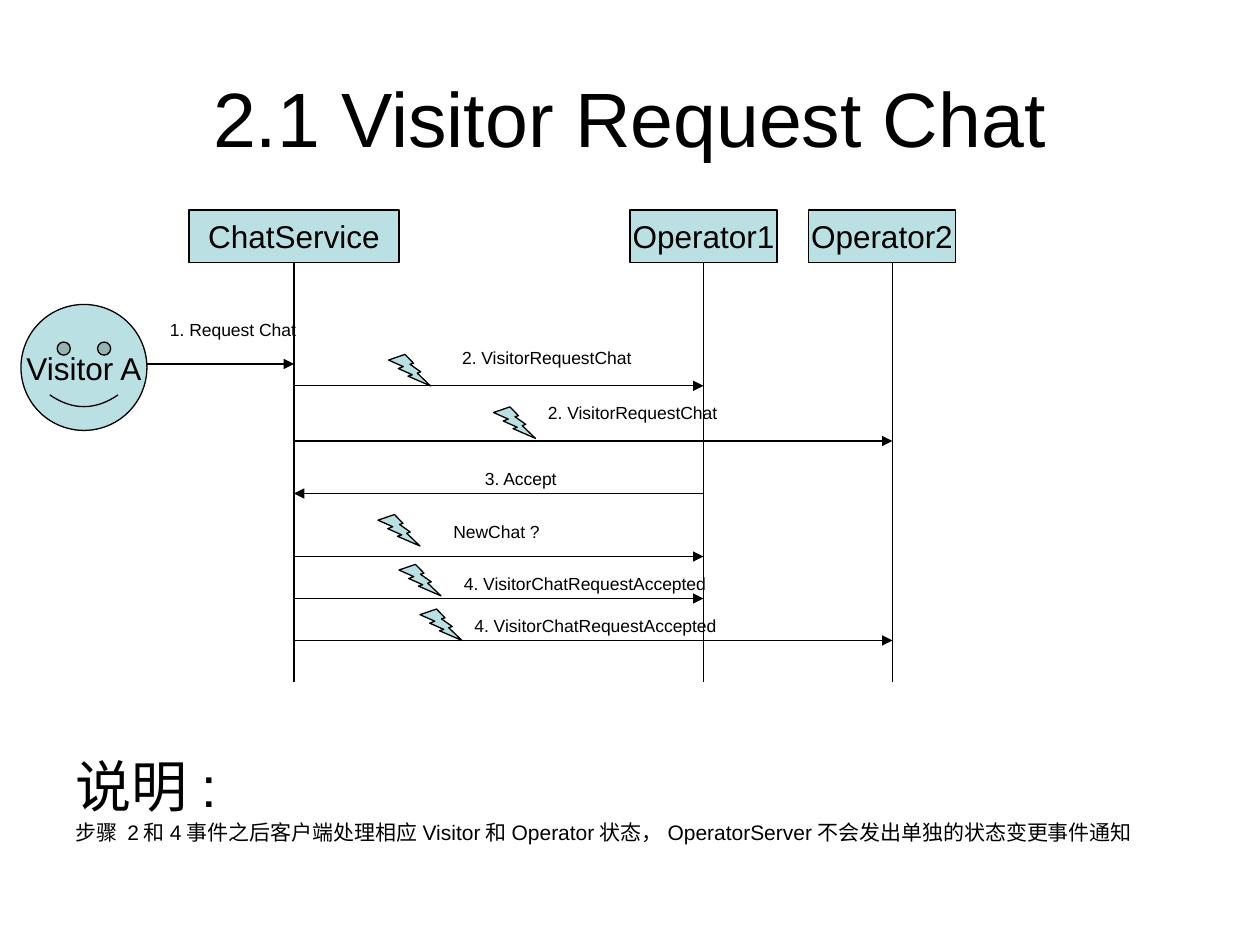
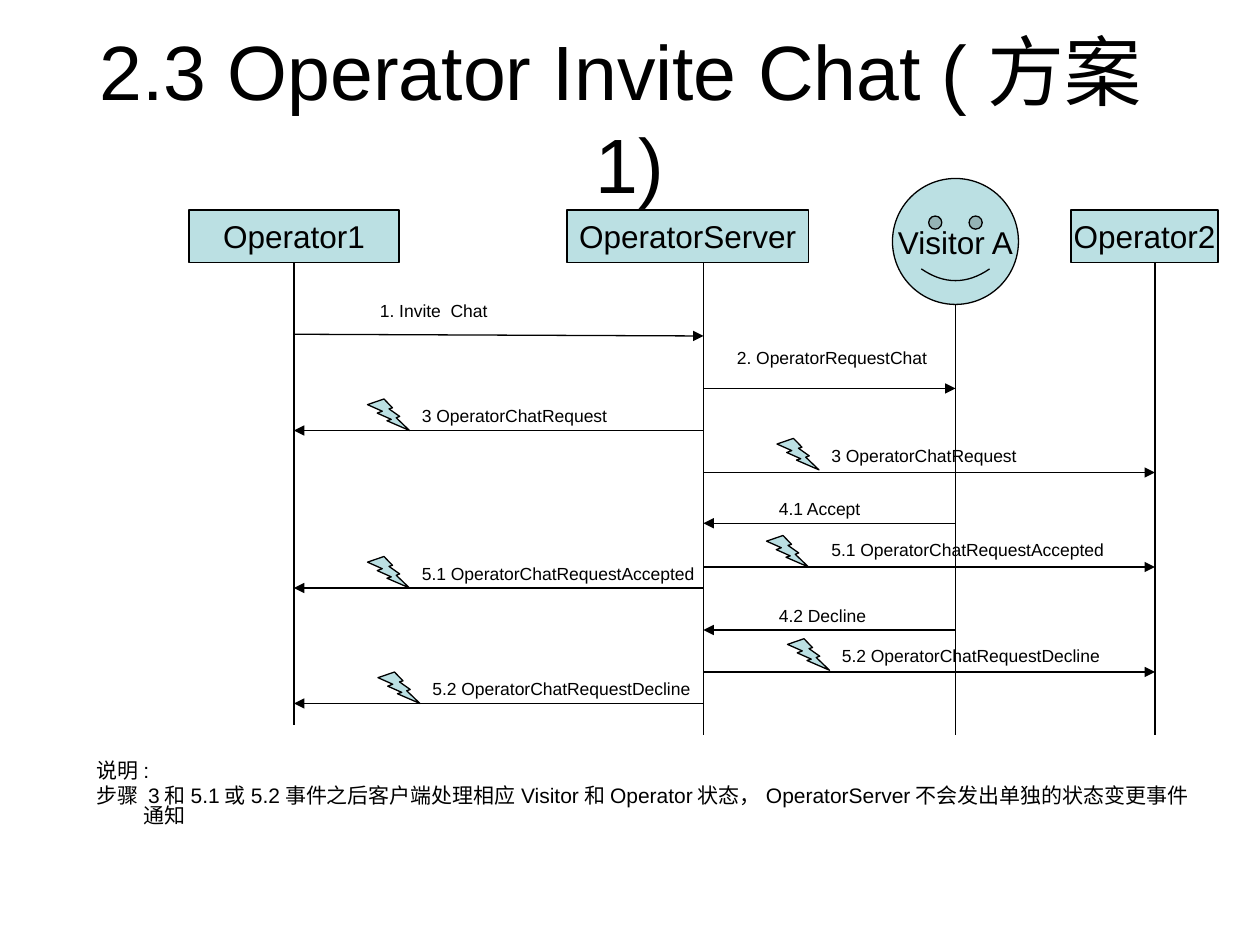
from lxml.etree import SubElement
from pptx import Presentation
from pptx.dml.color import RGBColor
from pptx.enum.shapes import MSO_CONNECTOR, MSO_SHAPE
from pptx.enum.text import MSO_ANCHOR, MSO_AUTO_SIZE, PP_ALIGN
from pptx.oxml.ns import qn
from pptx.util import Pt

COLOURS = {"ink": "000000", "fill": "BBE0E3"}
FONT = "Arial"
LINE_WIDTH = Pt(0.75)
HEAD_TOP, HEAD_HEIGHT = 120, 30
HEAD_BOTTOM = HEAD_TOP + HEAD_HEIGHT
FACE_SIZE = 72
BOLT_WIDTH, BOLT_HEIGHT = 24, 18
LABEL_HEIGHT = 19.5
ink = RGBColor.from_string(COLOURS["ink"])
aqua = RGBColor.from_string(COLOURS["fill"])

TITLE = {"alignment": PP_ALIGN.CENTER}
HEADING = {"space_before": Pt(8), "line_spacing": 1.0}
NOTE = {"space_before": Pt(3), "line_spacing": 0.8}


def write(box, lines, hanging=False):
    """Fill a box with (text, size, paragraph format) lines."""
    frame = box.text_frame
    for index, (text, size, formats) in enumerate(lines):
        para = frame.add_paragraph() if index else frame.paragraphs[0]
        for name, value in formats.items():
            setattr(para, name, value)
        if hanging:
            properties = para._p.get_or_add_pPr()
            properties.set("marL", str(Pt(27)))
            properties.set("indent", str(-Pt(27)))
            SubElement(properties, qn("a:buNone"))
        span = para.add_run()
        span.text = text
        span.font.name = FONT
        span.font.size = Pt(size)
        span.font.color.rgb = ink


def draw_line(page, start, end, arrow=False):
    """Draw a thin line between two points, with an arrowhead on request."""
    line = page.shapes.add_connector(
        MSO_CONNECTOR.STRAIGHT, *[Pt(value) for value in start + end])
    line.line.color.rgb = ink
    line.line.width = LINE_WIDTH
    if arrow:
        SubElement(line.line._get_or_add_ln(), qn("a:tailEnd"), type="triangle")
    SubElement(line._element.spPr, qn("a:effectLst"))


PROCESS, RECTANGLE = MSO_SHAPE.FLOWCHART_PROCESS, MSO_SHAPE.RECTANGLE

# Heads: text, shape, left, width, lifeline x, lifeline bottom
# Messages: start, end, text, label (left, top, width), bolt (left, top)
PAGES = [
    {
        "title": "2.1 Visitor Request Chat",
        "heads": [
            ("ChatService", PROCESS, 108, 120, 168, 390),
            ("Operator1", RECTANGLE, 360, 84, 402, 390),
            ("Operator2", RECTANGLE, 462, 84, 510, 390),
        ],
        "visitor": (12, 174),
        "visitor_line_bottom": None,
        "messages": [
            ((84, 208), (168, 208), "1. Request Chat", (90, 178.5, 90), None),
            ((168, 220.5), (402, 220.5), "2. VisitorRequestChat",
             (257, 195, 133), (222, 202.5)),
            ((168, 252), (510, 252), "2. VisitorRequestChat",
             (306, 226, 132), (282, 232.5)),
            ((402, 282), (168, 282), "3. Accept", (270, 264, 66), None),
            ((168, 318), (402, 318), "NewChat ?", (252, 294, 110), (216, 294)),
            ((168, 342), (402, 342), "4. VisitorChatRequestAccepted",
             (258, 324, 174), (228, 322.5)),
            ((168, 366), (510, 366), "4. VisitorChatRequestAccepted",
             (264, 348, 168), (240, 348)),
        ],
        "notes_in_body": True,
        "notes_at": (36, 426),
        "notes": [
            ("说明:", 32, HEADING),
            ("步骤 2和4事件之后客户端处理相应Visitor和Operator状态，"
             "OperatorServer不会发出单独的状态变更事件通知", 12, NOTE),
        ],
    },
    {
        "title": "2.3 Operator Invite Chat (方案1)",
        "heads": [
            ("Operator1", PROCESS, 108, 120, 168, 414),
            ("OperatorServer", RECTANGLE, 324, 138, 402, 420),
            ("Operator2", RECTANGLE, 612, 84, 660, 420),
        ],
        "visitor": (510, 102),
        "visitor_line_bottom": 420,
        "messages": [
            ((168, 191), (402, 192), "1. Invite  Chat", (210, 168, 90), None),
            ((402, 222), (546, 222), "2. OperatorRequestChat",
             (414, 195, 138), None),
            ((402, 246), (168, 246), "3 OperatorChatRequest",
             (234, 228, 174), (210, 228)),
            ((402, 270), (660, 270), "3 OperatorChatRequest",
             (468, 250.5, 174), (444, 250.5)),
            ((546, 299), (402, 299), "4.1 Accept", (438, 281, 66), None),
            ((402, 324), (660, 324), "5.1 OperatorChatRequestAccepted",
             (468, 304.5, 174), (438, 306)),
            ((402, 336), (168, 336), "5.1 OperatorChatRequestAccepted",
             (234, 318, 174), (210, 318)),
            ((546, 360), (402, 360), "4.2 Decline", (438, 342, 66), None),
            ((402, 384), (660, 384), "5.2 OperatorChatRequestDecline",
             (474, 365, 174), (450, 365)),
            ((402, 402), (168, 402), "5.2 OperatorChatRequestDecline",
             (240, 384, 174), (216, 384)),
        ],
        "notes_in_body": False,
        "notes_at": (48, 432),
        "notes": [
            ("说明:", 12, NOTE),
            ("步骤 3和5.1或5.2事件之后客户端处理相应Visitor和Operator状态，"
             "OperatorServer不会发出单独的状态变更事件通知", 12, NOTE),
        ],
    },
]

deck = Presentation()
deck.slide_width, deck.slide_height = Pt(720), Pt(540)

for content in PAGES:
    layout = deck.slide_layouts[1 if content["notes_in_body"] else 5]
    page = deck.slides.add_slide(layout)

    # Title
    title = page.shapes.title
    title.left, title.top, title.width, title.height = Pt(36), Pt(21.5), Pt(648), Pt(90)
    title.text_frame.vertical_anchor = MSO_ANCHOR.MIDDLE
    title.text_frame.auto_size = MSO_AUTO_SIZE.NONE
    write(title, [(content["title"], 44, TITLE)])

    # Explanation below the diagram
    left, top = content["notes_at"]
    if content["notes_in_body"]:
        notes = page.placeholders[1]
        notes.left, notes.top, notes.width, notes.height = Pt(left), Pt(top), Pt(648), Pt(62.5)
    else:
        notes = page.shapes.add_textbox(Pt(left), Pt(top), Pt(648), Pt(62.5))
    notes.text_frame.word_wrap = True
    notes.text_frame.auto_size = MSO_AUTO_SIZE.NONE
    write(notes, content["notes"], hanging=True)

    # Participants, the visitor's face and event bolts
    face_left, face_top = content["visitor"]
    shapes = [(text, kind, left, HEAD_TOP, width, HEAD_HEIGHT)
              for text, kind, left, width, _, _ in content["heads"]]
    shapes.append(("Visitor A", MSO_SHAPE.SMILEY_FACE, face_left, face_top,
                   FACE_SIZE, FACE_SIZE))
    shapes += [("", MSO_SHAPE.LIGHTNING_BOLT, *bolt, BOLT_WIDTH, BOLT_HEIGHT)
               for *_, bolt in content["messages"] if bolt]
    for text, kind, *place in shapes:
        shape = page.shapes.add_shape(kind, *[Pt(value) for value in place])
        shape.shadow.inherit = False
        shape.fill.solid()
        shape.fill.fore_color.rgb = aqua
        shape.line.color.rgb = ink
        shape.line.width = LINE_WIDTH
        if text:
            shape.text_frame.word_wrap = False
            shape.text_frame.vertical_anchor = MSO_ANCHOR.MIDDLE
            write(shape, [(text, 18, {"alignment": PP_ALIGN.CENTER})])

    # Lifelines
    for *_, x, bottom in content["heads"]:
        draw_line(page, (x, HEAD_BOTTOM), (x, bottom))
    if content["visitor_line_bottom"]:
        x = face_left + FACE_SIZE / 2
        draw_line(page, (x, face_top + FACE_SIZE), (x, content["visitor_line_bottom"]))

    # Messages with their labels
    for start, end, text, (left, top, width), _ in content["messages"]:
        draw_line(page, start, end, arrow=True)
        label = page.shapes.add_textbox(Pt(left), Pt(top), Pt(width), Pt(LABEL_HEIGHT))
        label.text_frame.word_wrap = True
        write(label, [(text, 10, {})])

deck.save("out.pptx")
